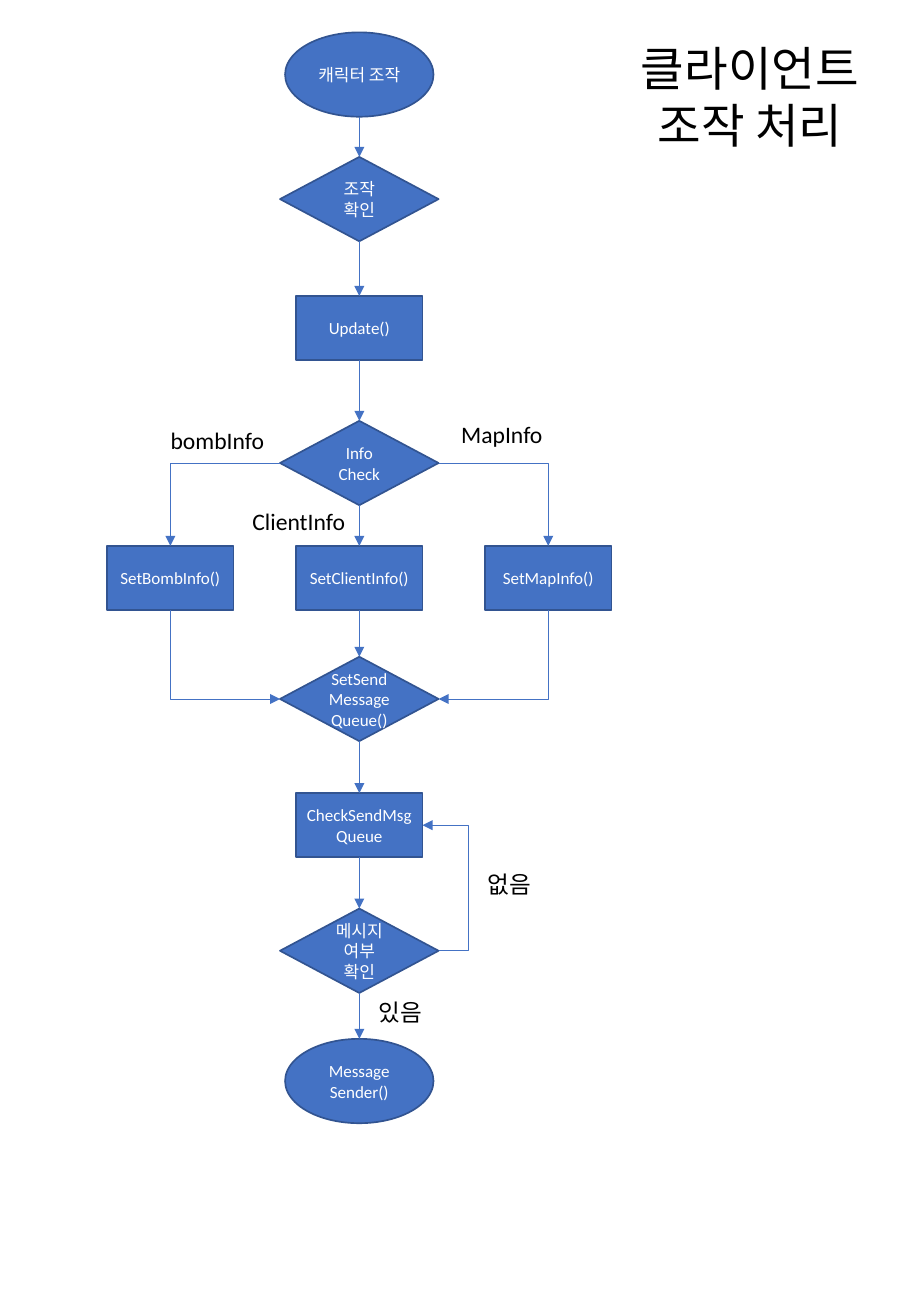
from dataclasses import dataclass

import lxml.etree
import pptx
import pptx.dml.color
import pptx.enum.shapes
import pptx.enum.text
import pptx.oxml.ns
import pptx.util

Pt = pptx.util.Pt
Shape = pptx.enum.shapes.MSO_SHAPE
Route = pptx.enum.shapes.MSO_CONNECTOR
Anchor = pptx.enum.text.MSO_ANCHOR
qn = pptx.oxml.ns.qn

COLORS = {"fill": "4472C4", "outline": "325491", "light": "FFFFFF", "dark": "000000"}
FONT = "Calibri"
SIZES = {Shape.OVAL: (88, 50), Shape.DIAMOND: (94, 50), Shape.RECTANGLE: (75, 38)}
CENTER, BRANCH = 213, 112  # main column and distance to the side columns
LOOP_GAP = 18  # how far the retry loop reaches past the diamond
TOP, LEFT, BOTTOM, RIGHT = range(4)
OVAL_BOTTOM = 4  # ovals have eight connection sites


@dataclass
class Step:
    name: str
    text: str
    kind: Shape
    middle: float
    column: int = 0


@dataclass
class Link:
    start: str
    end: str
    exit: int = BOTTOM
    entry: int = TOP


@dataclass
class Label:
    text: str
    left: float
    top: float
    width: float


STEPS = [
    Step("input", "캐릭터 조작", Shape.OVAL, 44.2),
    Step("input check", "조작 확인", Shape.DIAMOND, 118),
    Step("update", "Update()", Shape.RECTANGLE, 194.4),
    Step("info check", "Info Check", Shape.DIAMOND, 274.4),
    Step("bomb", "SetBombInfo()", Shape.RECTANGLE, 342.5, -1),
    Step("client", "SetClientInfo()", Shape.RECTANGLE, 342.5),
    Step("map", "SetMapInfo()", Shape.RECTANGLE, 342.5, 1),
    Step("queue", "SetSendMessage\nQueue()", Shape.DIAMOND, 414.2),
    Step("queue check", "CheckSendMsg\nQueue", Shape.RECTANGLE, 489),
    Step("message check", "메시지 여부 확인", Shape.DIAMOND, 563.4),
    Step("sender", "Message\nSender()", Shape.OVAL, 640.6),
]
MAIN_PATH = [step.name for step in STEPS if step.column == 0]
LINKS = [Link(start, end) for start, end in zip(MAIN_PATH, MAIN_PATH[1:])] + [
    Link("info check", "bomb", LEFT, TOP),
    Link("info check", "map", RIGHT, TOP),
    Link("bomb", "queue", BOTTOM, LEFT),
    Link("map", "queue", BOTTOM, RIGHT),
    Link("message check", "queue check", RIGHT, RIGHT),
]
LABELS = [
    Label("bombInfo", 91.4, 249, 75),
    Label("ClientInfo", 139.6, 296.6, 75),
    Label("MapInfo", 260, 245.5, 75),
    Label("있음", 214.5, 588, 45.4),
    Label("없음", 279.4, 512, 45.4),
]


def color(name: str) -> pptx.dml.color.RGBColor:
    return pptx.dml.color.RGBColor.from_string(COLORS[name])


def write(shape, text: str, size: float, ink: str, anchor: Anchor) -> None:
    frame = shape.text_frame
    frame.text = text
    frame.word_wrap = True
    frame.auto_size = pptx.enum.text.MSO_AUTO_SIZE.NONE
    frame.vertical_anchor = anchor
    for para in frame.paragraphs:
        para.alignment = pptx.enum.text.PP_ALIGN.CENTER
        para.font.name = FONT
        para.font.size = Pt(size)
        para.font.color.rgb = color(ink)


def add_step(page, step: Step):
    width, height = SIZES[step.kind]
    left = CENTER + step.column * BRANCH - width / 2
    box = page.shapes.add_shape(
        step.kind, Pt(left), Pt(step.middle - height / 2), Pt(width), Pt(height))
    box.shadow.inherit = False
    box.fill.solid()
    box.fill.fore_color.rgb = color("fill")
    box.line.color.rgb = color("outline")
    box.line.width = Pt(1)
    write(box, step.text, 10.1, "light", Anchor.MIDDLE)
    frame = box.text_frame
    frame.margin_left = frame.margin_right = Pt(4.3)
    frame.margin_top = frame.margin_bottom = Pt(2.2)
    return box


def bend(connector, link: Link) -> None:
    """Turn an elbow into a single corner, or into a loop beside the column."""
    properties = connector._element.spPr
    geometry = properties.find(qn("a:prstGeom"))
    if link.exit == link.entry:
        reach = -LOOP_GAP * Pt(1) / connector.width
        lxml.etree.SubElement(geometry.find(qn("a:avLst")), qn("a:gd"),
                              name="adj1", fmla=f"val {round(reach * 100000)}")
        return
    geometry.set("prst", "bentConnector2")
    if link.exit == BOTTOM:  # leave downwards: a quarter turn about the centre
        goes_right = connector.end_x > connector.begin_x
        width, height = connector.width, connector.height
        connector.left += (width - height) // 2
        connector.top += (height - width) // 2
        connector.width, connector.height = height, width
        frame = properties.find(qn("a:xfrm"))
        frame.set("rot", "5400000")
        frame.set("flipH", "0")
        frame.set("flipV", "1" if goes_right else "0")


def add_link(page, link: Link, boxes: dict) -> None:
    straight = (link.exit, link.entry) == (BOTTOM, TOP)
    route = Route.STRAIGHT if straight else Route.ELBOW
    connector = page.shapes.add_connector(route, 0, 0, 0, 0)
    start = boxes[link.start]
    connector.begin_connect(start, link.exit)
    connector.end_connect(boxes[link.end], link.entry)
    if start.auto_shape_type == Shape.OVAL:
        connector._element.nvCxnSpPr.cNvCxnSpPr.stCxn.idx = OVAL_BOTTOM
    if not straight:
        bend(connector, link)
    connector.line.color.rgb = color("fill")
    connector.line.width = Pt(0.5)
    lxml.etree.SubElement(connector.line._get_or_add_ln(), qn("a:tailEnd"), type="triangle")
    lxml.etree.SubElement(connector._element.spPr, qn("a:effectLst"))


def add_label(page, label: Label) -> None:
    box = page.shapes.add_textbox(
        Pt(label.left), Pt(label.top), Pt(label.width), Pt(24.5))
    write(box, label.text, 14, "dark", Anchor.TOP)


# Page and title
deck = pptx.Presentation()
deck.slide_width, deck.slide_height = Pt(540), Pt(779.8)
page = deck.slides.add_slide(deck.slide_layouts[5])
title = page.shapes.title
title.left, title.top, title.width, title.height = Pt(362), Pt(19.4), Pt(165), Pt(75.6)
write(title, "클라이언트\n조작 처리", 28.1, "dark", Anchor.TOP)

# Flowchart
boxes = {step.name: add_step(page, step) for step in STEPS}
for link in LINKS:
    add_link(page, link, boxes)
for label in LABELS:
    add_label(page, label)

deck.save("out.pptx")
